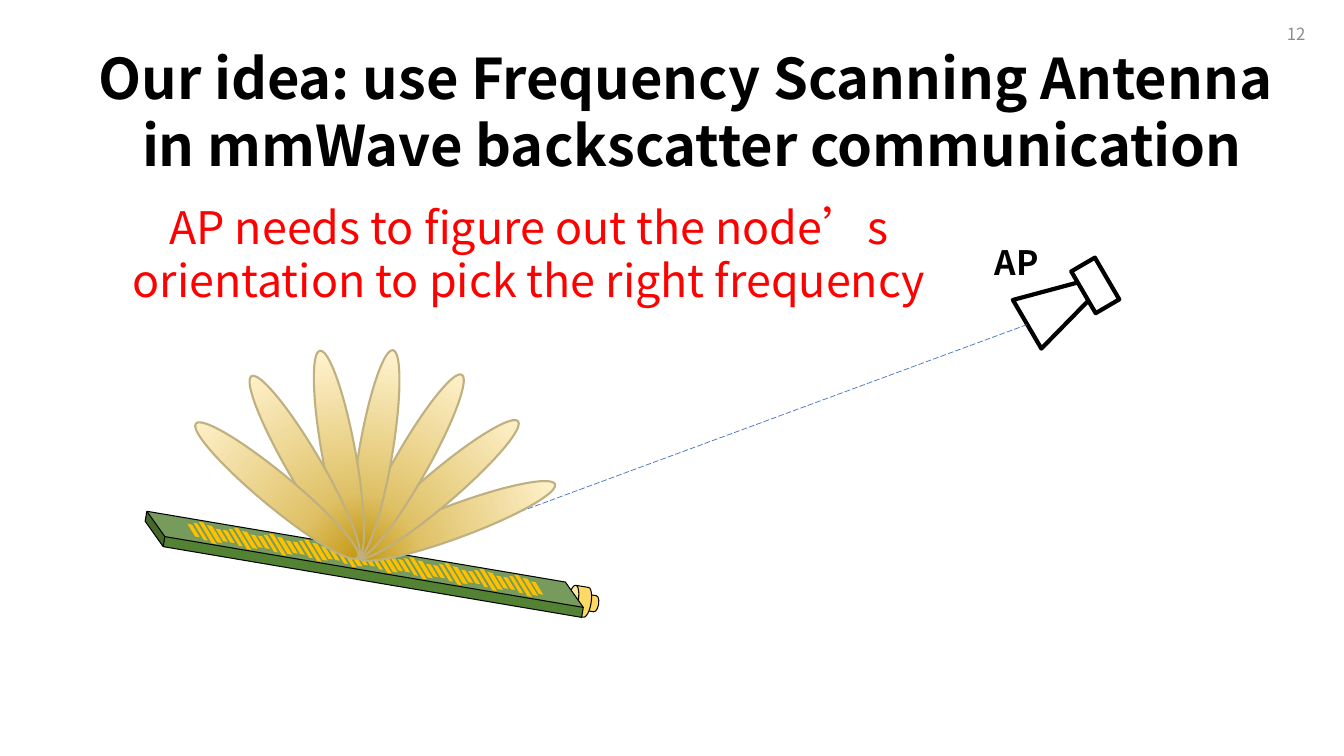
"""Build the slide on a frequency scanning antenna in mmWave backscatter."""
from math import cos, radians, sin

from lxml import etree
from pptx import Presentation
from pptx.dml.color import RGBColor
from pptx.enum.dml import MSO_LINE
from pptx.enum.shapes import MSO_CONNECTOR, MSO_SHAPE
from pptx.enum.text import MSO_ANCHOR, PP_ALIGN
from pptx.oxml.ns import qn
from pptx.util import Cm, Pt

FONT = "Noto Sans CJK SC"
LEFT, MID, RIGHT = PP_ALIGN.LEFT, PP_ALIGN.CENTER, PP_ALIGN.RIGHT
TOP, CENTER = MSO_ANCHOR.TOP, MSO_ANCHOR.MIDDLE
CAN, CUBE, OVAL = MSO_SHAPE.CAN, MSO_SHAPE.CUBE, MSO_SHAPE.OVAL
RECT, HORN = MSO_SHAPE.RECTANGLE, MSO_SHAPE.TRAPEZOID
SLANT = MSO_SHAPE.PARALLELOGRAM
DASH, STRAIGHT = MSO_LINE.LONG_DASH, MSO_CONNECTOR.STRAIGHT

COLORS = {
    "black": "000000", "white": "FFFFFF", "gray": "8C8C8C", "red": "FF0000",
    "blue": "4472C4", "green": "548235", "gold": "FFC000", "cap": "FFD966",
    "edge": "BFB080", "pale": "FFF2CC", "sand": "DFC167", "dark": "BF9000",
}
FADE = ((4, "pale"), (68, "sand"), (100, "dark"))
STRIPES = ((0.36, 0.28), (0.43, 0.38), (0.53, 0.48), (0.46, 0.38), (0.36, 0.28))
GROUPS = 10
TILT = 9.6


def color(name):
    """Return the named colour."""
    return RGBColor.from_string(COLORS[name])


def add_text(slide, text, box, size=24, hue="black", bold=False, align=LEFT,
             anchor=TOP):
    """Add a text box with one paragraph per line of text."""
    frame = slide.shapes.add_textbox(*map(Cm, box)).text_frame
    frame.word_wrap = True
    frame.vertical_anchor = anchor
    for i, line in enumerate(text.split("\n")):
        para = frame.paragraphs[0] if i == 0 else frame.add_paragraph()
        para.alignment = align
        run = para.add_run()
        run.text = line
        font = run.font
        font.name, font.size, font.bold = FONT, Pt(size), bold
        font.color.rgb = color(hue)
        east = etree.SubElement(font._element, qn("a:ea"))
        east.set("typeface", FONT)


def add_form(group, kind, x, y, size, turn, fill=None, line=None, width=0.75,
             adj=None, flip=False):
    """Add a preset shape centred on x, y and turned by degrees."""
    w, h = size
    form = group.shapes.add_shape(kind, Cm(x - w / 2), Cm(y - h / 2), Cm(w), Cm(h))
    form.shadow.inherit = False
    form.rotation = turn
    if adj is not None:
        form.adjustments[0] = adj
    if flip:
        form._element.spPr.find(qn("a:xfrm")).set("flipH", "1")
    if fill:
        form.fill.solid()
        form.fill.fore_color.rgb = color(fill)
    if line:
        form.line.color.rgb = color(line)
        form.line.width = Pt(width)
    else:
        form.line.fill.background()
    return form


def add_fade(form):
    """Fill a shape with the beam gradient."""
    form.fill.gradient()
    form.fill.gradient_angle = 270
    stops = next(form._element.spPr.iter(qn("a:gsLst")))
    for stop in list(stops):
        stops.remove(stop)
    for pos, hue in FADE:
        stop = etree.SubElement(stops, qn("a:gs"), pos=str(pos * 1000))
        etree.SubElement(stop, qn("a:srgbClr"), val=COLORS[hue])


def add_ray(slide, start, end):
    """Add the thin dashed line of sight."""
    ray = slide.shapes.add_connector(STRAIGHT, *map(Cm, start + end))
    ray.line.color.rgb = color("blue")
    ray.line.width = Pt(0.5)
    ray.line.dash_style = DASH
    etree.SubElement(ray._element.spPr, qn("a:effectLst"))


def add_horn(slide):
    """Add the horn of the access point."""
    group = slide.shapes.add_group_shape()
    look = {"fill": "white", "line": "black", "width": 3}
    add_form(group, HORN, 26.64, 7.73, (1.42, 1.75), 59.7, adj=0.336, **look)
    add_form(group, RECT, 27.6, 7.19, (0.69, 1.22), 149.7, **look)


def add_board(group):
    """Add the board, its plug and its slanted stripes."""
    for x, y, size in ((14.86, 15.19, (0.41, 0.46)), (14.61, 15.15, (0.76, 0.58))):
        add_form(group, CAN, x, y, size, 270 + TILT, "cap", "black", adj=0.436)
    add_form(group, CUBE, 9.18, 14.22, (11.25, 0.81), TILT, "green", "black",
             adj=0.684, flip=True)
    sizes = STRIPES * GROUPS
    for i, size in enumerate(sizes):
        part = i / (len(sizes) - 1)
        add_form(group, SLANT, 4.88 + 8.66 * part, 13.37 + 1.45 * part, size, TILT,
                 "gold", adj=0.869, flip=True)


def add_beams(group):
    """Add the beams that fan out from one point of the board."""
    reach = 2.65
    for step in range(3, -4, -1):
        turn = TILT + 20 * step
        x = 9.02 + reach * sin(radians(turn))
        y = 14.05 - reach * cos(radians(turn))
        add_fade(add_form(group, OVAL, x, y, (0.84, 2 * reach), turn % 360,
                          line="edge", width=1.5))


def main():
    """Build and save the slide."""
    deck = Presentation()
    deck.slide_width, deck.slide_height = Cm(33.87), Cm(19.05)
    slide = deck.slides.add_slide(deck.slide_layouts[6])
    add_text(slide, "12", (25.53, 0.33, 7.62, 1.02), size=12, hue="gray",
             align=RIGHT, anchor=CENTER)
    add_text(slide, "AP needs to figure out the node’s orientation to pick the "
             "right frequency", (2.49, 4.9, 21.69, 3), size=32, hue="red", align=MID)
    add_horn(slide)
    add_text(slide, "AP", (24.82, 5.97, 2.54, 1.27), bold=True)
    add_ray(slide, (25.88, 8.18), (12.19, 13.23))
    node = slide.shapes.add_group_shape()
    add_board(node)
    add_beams(node)
    add_text(slide, "Our idea: use Frequency Scanning Antenna \n"
             "in mmWave backscatter communication", (0.25, 0.97, 34.37, 3.68),
             size=40, bold=True, align=MID)
    deck.save("out.pptx")


if __name__ == "__main__":
    main()
